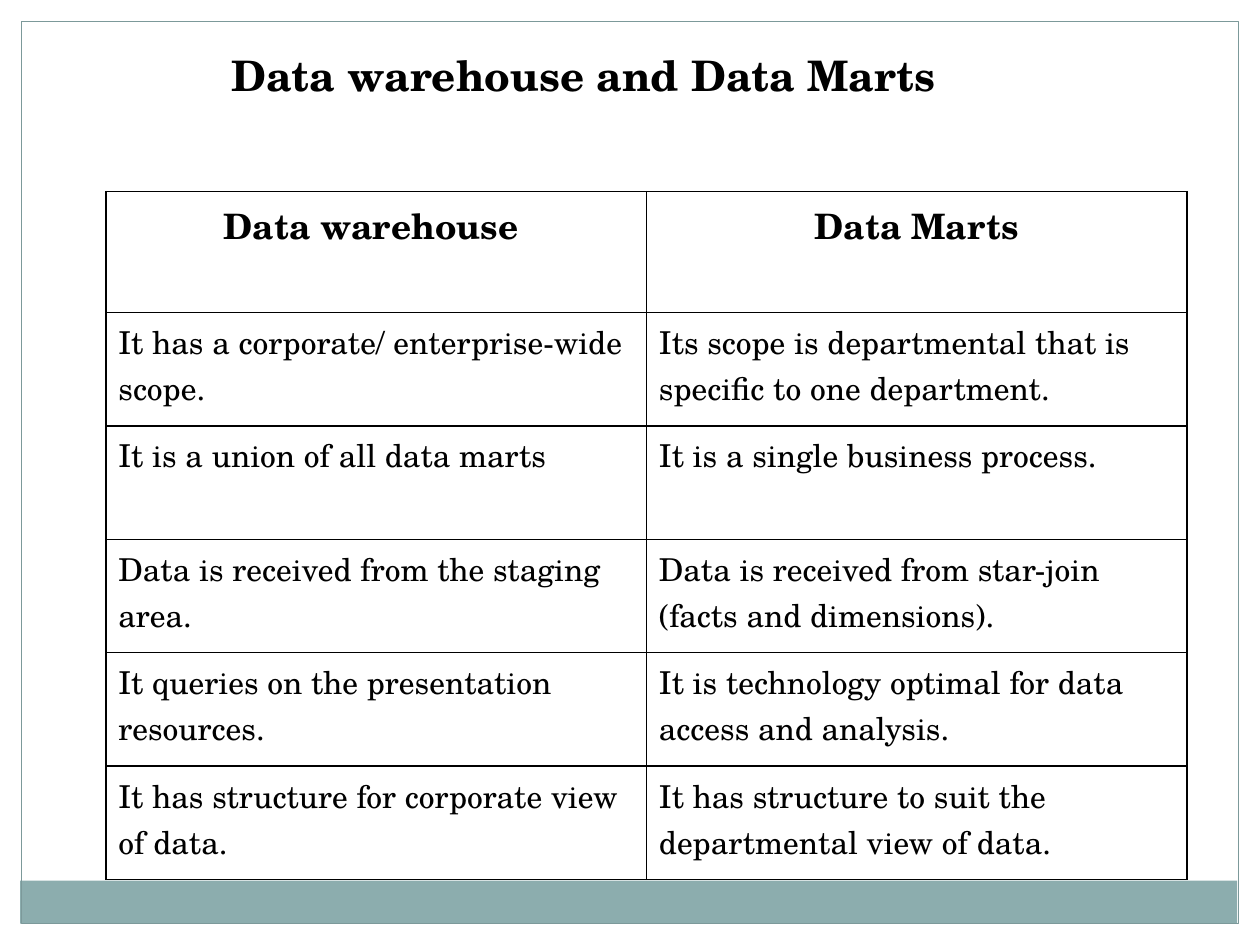
from dataclasses import dataclass
from typing import NamedTuple

from lxml.etree import SubElement
from pptx import Presentation
from pptx.dml.color import RGBColor as Rgb
from pptx.enum.shapes import MSO_SHAPE as Shape
from pptx.enum.text import MSO_ANCHOR as Anchor, MSO_AUTO_SIZE as AutoSize, PP_ALIGN as Align
from pptx.oxml.ns import qn
from pptx.util import Inches, Pt


@dataclass(frozen=True)
class Theme:
    font: str = "TeX Gyre Schola"
    ink: str = "000000"
    margin: str = "FFFFFF"
    band: str = "8CADAE"
    frame: str = "7C999A"
    title_size: float = 24
    header_size: float = 20
    body_size: float = 18
    frame_width: float = 0.75
    border_width: float = 1


class Box(NamedTuple):
    left: float
    top: float
    width: float
    height: float

    def lengths(self) -> list:
        return [Inches(value) for value in self]


class Comparison(NamedTuple):
    warehouse: str
    mart: str


THEME = Theme()
PAGE_WIDTH, PAGE_HEIGHT, MARGIN = 10, 7.5, 0.17
MARGINS = [
    Box(0, 0, PAGE_WIDTH, MARGIN),
    Box(PAGE_WIDTH - MARGIN, 0, MARGIN, PAGE_HEIGHT),
    Box(0, 0, MARGIN, PAGE_HEIGHT),
]
BAND = Box(0.16, 6.99, 9.66, 0.34)
FRAME = Box(MARGIN, MARGIN, PAGE_WIDTH - 2 * MARGIN, PAGE_HEIGHT - 2 * MARGIN)
TITLE = Box(1.17, 0.34, 6.92, 0.5)
TABLE = Box(0.84, 1.52, 8.58, 5.46)
HEADER_HEIGHT = 0.96

COMPARISONS = [
    Comparison("Data warehouse ", "Data Marts"),
    Comparison("It has a corporate/ enterprise-wide scope.",
               "Its scope is departmental that is specific to one department."),
    Comparison("It is a union of all data marts", "It is a single business process."),
    Comparison("Data is received from the staging area.",
               "Data is received from star-join (facts and dimensions)."),
    Comparison("It queries on the presentation resources.",
               "It is technology optimal for data access and analysis."),
    Comparison("It has structure for corporate view of data.",
               "It has structure to suit the departmental view of data."),
]


def write(text_frame, text: str, *, size: float, bold: bool = False,
          align=Align.LEFT, anchor=Anchor.TOP) -> None:
    text_frame.word_wrap = True
    text_frame.vertical_anchor = anchor
    paragraph = text_frame.paragraphs[0]
    paragraph.alignment = align
    run = paragraph.add_run()
    run.text = text
    run.font.name = THEME.font
    run.font.size = Pt(size)
    run.font.bold = bold
    run.font.color.rgb = Rgb.from_string(THEME.ink)


def add_panel(slide, box: Box, *, fill: str = "", line: str = "") -> None:
    panel = slide.shapes.add_shape(Shape.RECTANGLE, *box.lengths())
    panel.shadow.inherit = False
    if fill:
        panel.fill.solid()
        panel.fill.fore_color.rgb = Rgb.from_string(fill)
    else:
        panel.fill.background()
    if line:
        panel.line.color.rgb = Rgb.from_string(line)
        panel.line.width = Pt(THEME.frame_width)
    else:
        panel.line.fill.background()


def outline_cell(cell) -> None:
    properties = cell._tc.get_or_add_tcPr()
    for side in ("a:lnL", "a:lnR", "a:lnT", "a:lnB"):
        border = SubElement(properties, qn(side), w=str(Pt(THEME.border_width)))
        solid = SubElement(border, qn("a:solidFill"))
        SubElement(solid, qn("a:srgbClr"), val=THEME.ink)


def add_comparison_table(slide, box: Box, rows: list[Comparison]) -> None:
    columns = len(Comparison._fields)
    table = slide.shapes.add_table(len(rows), columns, *box.lengths()).table
    table.first_row = table.horz_banding = False
    for column in table.columns:
        column.width = Inches(box.width / columns)
    body_height = (box.height - HEADER_HEIGHT) / (len(rows) - 1)
    for r, comparison in enumerate(rows):
        is_header = r == 0
        table.rows[r].height = Inches(HEADER_HEIGHT if is_header else body_height)
        for c, text in enumerate(comparison):
            cell = table.cell(r, c)
            outline_cell(cell)
            cell.fill.background()
            write(cell.text_frame, text, bold=is_header,
                  size=THEME.header_size if is_header else THEME.body_size,
                  align=Align.CENTER if is_header else Align.LEFT)


def main() -> None:
    deck = Presentation()
    deck.slide_width, deck.slide_height = Inches(PAGE_WIDTH), Inches(PAGE_HEIGHT)
    slide = deck.slides.add_slide(deck.slide_layouts[5])

    # Page margins, bottom band and frame
    for margin in MARGINS:
        add_panel(slide, margin, fill=THEME.margin)
    add_panel(slide, BAND, fill=THEME.band)
    add_panel(slide, FRAME, line=THEME.frame)

    # Title
    title = slide.shapes.title
    title.left, title.top, title.width, title.height = TITLE.lengths()
    title.text_frame.auto_size = AutoSize.NONE
    write(title.text_frame, "Data warehouse and Data Marts", size=THEME.title_size,
          bold=True, align=Align.CENTER, anchor=Anchor.MIDDLE)

    # Comparison table
    add_comparison_table(slide, TABLE, COMPARISONS)

    deck.save("out.pptx")


if __name__ == "__main__":
    main()
